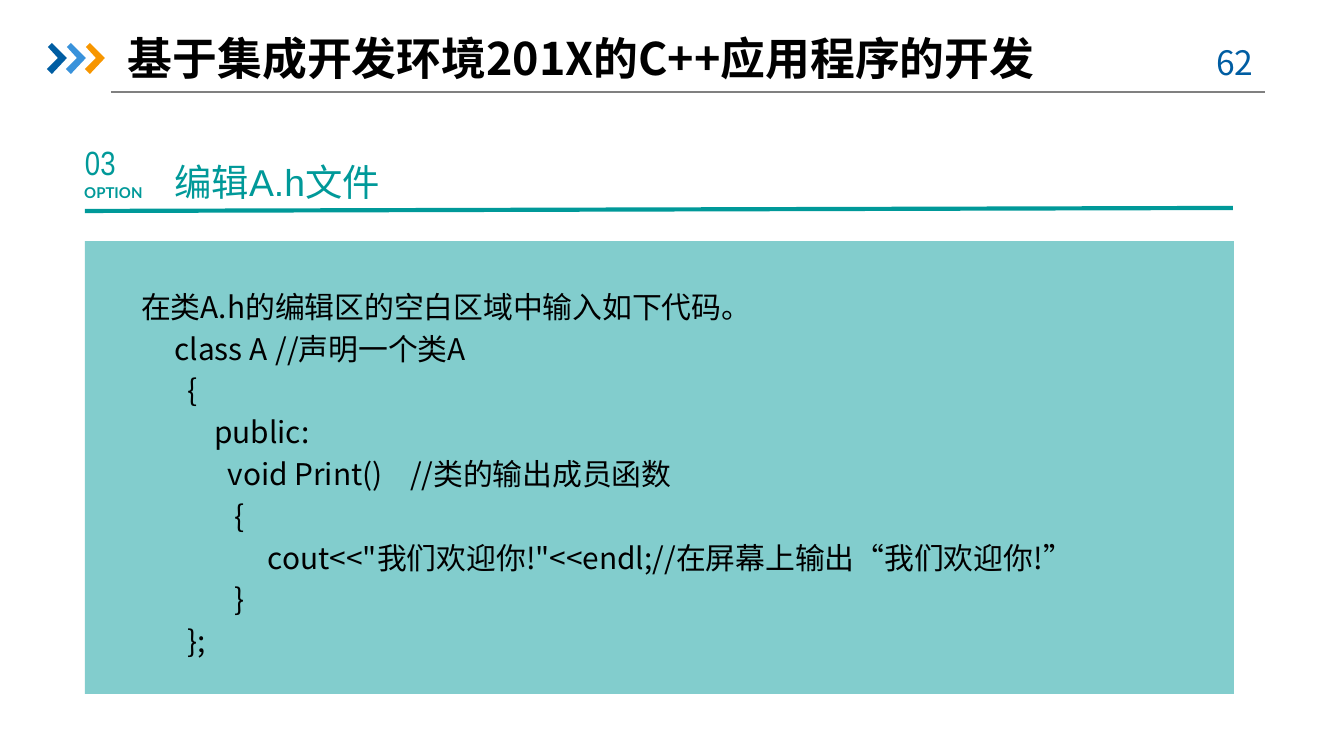
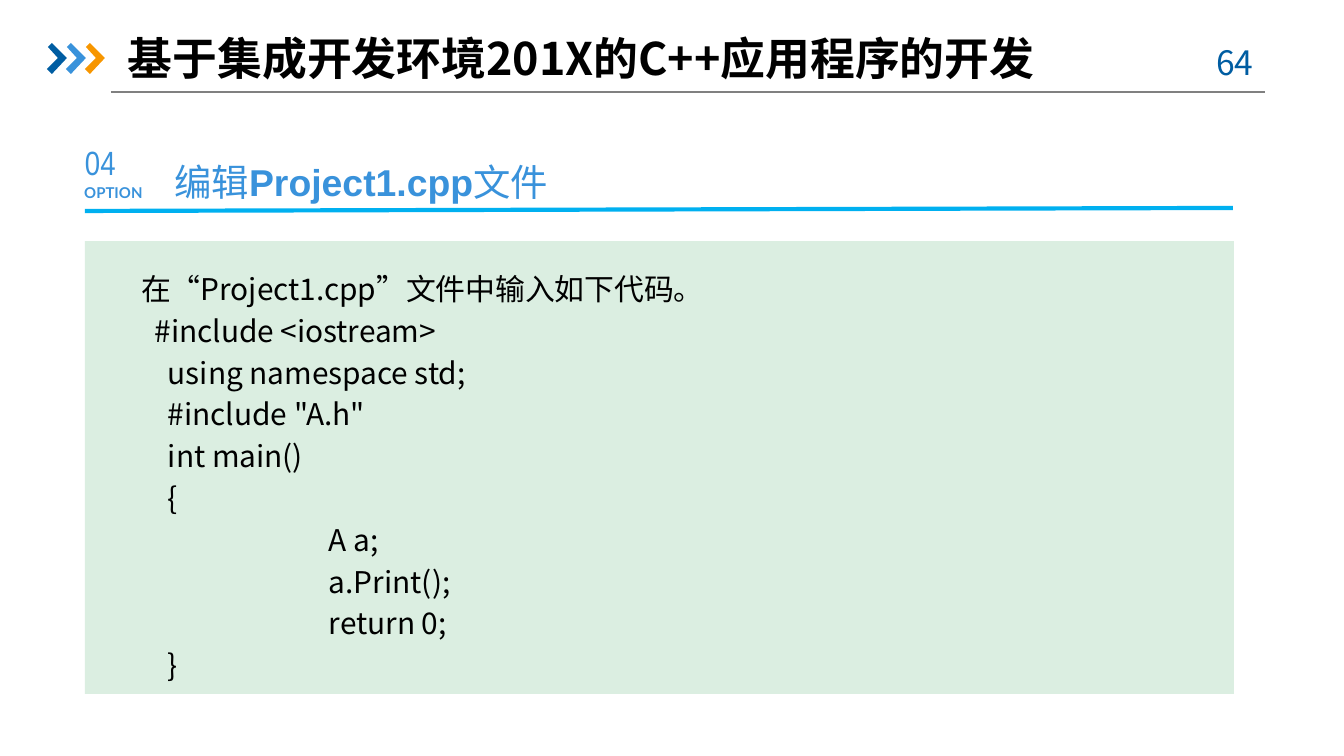
from lxml.etree import SubElement
from pptx import Presentation
from pptx.dml.color import RGBColor
from pptx.enum.shapes import MSO_CONNECTOR as Connector, MSO_SHAPE as Shape
from pptx.enum.text import MSO_ANCHOR as Anchor, MSO_AUTO_SIZE as AutoSize, PP_ALIGN as Align
from pptx.oxml.ns import qn
from pptx.util import Inches, Pt

# Content
TITLE = "基于集成开发环境201X的C++应用程序的开发"
STEPS = [
    {
        "page": "62", "number": "03", "accent": "teal", "rule": "teal",
        "heading": [("编辑A.h文件", False)],
        "panel": "teal", "opacity": 49, "code_top": 276, "code_height": 396,
        "code": [
            "在类A.h的编辑区的空白区域中输入如下代码。",
            "     class A\t//声明一个类A",
            "       {",
            "           public:",
            "             void Print()   \t//类的输出成员函数",
            "              {",
            '                   cout<<"我们欢迎你!"<<endl;//在屏幕上输出“我们欢迎你!”',
            "              }",
            "       };",
        ],
    },
    {
        "page": "64", "number": "04", "accent": "blue", "rule": "sky",
        "heading": [("编辑", False), ("Project1.cpp", True), ("文件", False)],
        "panel": "mint", "opacity": 100, "code_top": 258, "code_height": 440,
        "code": [
            "在“Project1.cpp”文件中输入如下代码。",
            "  #include <iostream>",
            "    using namespace std;",
            '    #include "A.h"',
            "    int main()",
            "    {",
            "\t        A a;",
            "\t        a.Print();",
            "\t        return 0;",
            "    }",
        ],
    },
]

# Shared style
COLORS = {
    "black": "000000", "gray": "808080", "navy": "005DA2", "blue": "3992DB",
    "orange": "F79600", "teal": "009999", "sky": "00B0F0", "mint": "DBEEE1",
}
CJK = "Noto Sans CJK SC"
STYLES = {
    "title": {"name": CJK, "size": Pt(24), "bold": True},
    "page": {"name": CJK, "size": Pt(18)},
    "number": {"name": "Arial Narrow", "size": Pt(18)},
    "option": {"name": "Lato", "size": Pt(8), "bold": True},
    "heading": {"name": "Arial", "size": Pt(20)},
    "code": {"name": CJK, "size": Pt(16)},
}
CHEVRON = [(1, 4), (5, 0), (20, 15), (5, 31), (0, 26), (11, 15)]
CHEVRON_LEFT, CHEVRON_TOP, CHEVRON_STEP = 47, 43, 19
PANEL = (85, 241, 1149, 453)
SCALE = Inches(10) / 1344


def px(*values):
    return [round(value * SCALE) for value in values]


def color(name):
    return RGBColor.from_string(COLORS[name])


def write(frame, paragraphs, style, ink, paragraph_format=None, **frame_format):
    """Fill a frame; each paragraph is a list of (text, bold) runs."""
    settings = {"word_wrap": True, "auto_size": AutoSize.NONE, **frame_format}
    for key, value in settings.items():
        setattr(frame, key, value)
    for index, runs in enumerate(paragraphs):
        paragraph = frame.add_paragraph() if index else frame.paragraphs[0]
        paragraph_settings = {"alignment": Align.LEFT, **(paragraph_format or {})}
        for key, value in paragraph_settings.items():
            setattr(paragraph, key, value)
        paragraph._p.get_or_add_pPr().set("defTabSz", str(Inches(1)))
        for text, bold in runs:
            run = paragraph.add_run()
            run.text = text
            for key, value in {"bold": bold, **STYLES[style]}.items():
                setattr(run.font, key, value)
            run.font.color.rgb = color(ink)
            SubElement(run._r.rPr, qn("a:ea")).set("typeface", CJK)


def add_text(slide, box, *content, **options):
    write(slide.shapes.add_textbox(*px(*box)).text_frame, *content, **options)


def add_line(slide, ends, ink, width):
    line = slide.shapes.add_connector(Connector.STRAIGHT, *px(*ends))
    line.line.color.rgb = color(ink)
    line.line.width = Pt(width)
    SubElement(line._element.spPr, qn("a:effectLst"))


def paint(shape, ink, opacity=100):
    shape.shadow.inherit = False
    shape.fill.solid()
    shape.fill.fore_color.rgb = color(ink)
    shape.line.fill.background()
    if opacity < 100:
        solid = shape._element.spPr.find(qn("a:solidFill"))
        SubElement(solid[0], qn("a:alpha")).set("val", str(opacity * 1000))


def add_header(slide, page):
    add_line(slide, (111, 92, 1265, 92), "gray", 0.75)
    for index, ink in enumerate(("navy", "blue", "orange")):
        left = CHEVRON_LEFT + index * CHEVRON_STEP
        points = [(left + x, CHEVRON_TOP + y) for x, y in CHEVRON]
        builder = slide.shapes.build_freeform(*points[0], scale=SCALE)
        builder.add_line_segments(points[1:], close=True)
        paint(builder.convert_to_shape(), ink)
    add_text(slide, (1186, 35, 98, 54), [[(page, False)]], "page", "navy",
             {"alignment": Align.CENTER})
    title = slide.shapes.title
    title.left, title.top, title.width, title.height = px(128, 22, 1098, 72)
    write(title.text_frame, [[(TITLE, True)]], "title", "black",
          vertical_anchor=Anchor.MIDDLE, margin_left=0, margin_right=0)


def add_step(slide, step):
    # Numbered heading
    accent = step["accent"]
    add_text(slide, (85, 142, 66, 40), [[(step["number"], False)]], "number", accent,
             vertical_anchor=Anchor.MIDDLE, margin_left=0, margin_right=0,
             margin_top=0, margin_bottom=0)
    add_text(slide, (71, 177, 85, 32), [[("OPTION", True)]], "option", accent,
             word_wrap=False)
    add_line(slide, (85, 211, 1233, 208), step["rule"], 2.25)
    add_text(slide, (161, 141, 551, 70), [step["heading"]], "heading", accent,
             {"line_spacing": 1.25})
    # Code panel
    panel = slide.shapes.add_shape(Shape.RECTANGLE, *px(*PANEL))
    paint(panel, step["panel"], step["opacity"])
    add_text(slide, (128, step["code_top"], 1027, step["code_height"]),
             [[(line, False)] for line in step["code"]], "code", "black",
             {"line_spacing": Pt(22.4)})


def main():
    presentation = Presentation()
    presentation.slide_width, presentation.slide_height = px(1344, 756)
    for step in STEPS:
        slide = presentation.slides.add_slide(presentation.slide_layouts[5])
        add_header(slide, step["page"])
        add_step(slide, step)
    presentation.save("out.pptx")


if __name__ == "__main__":
    main()
